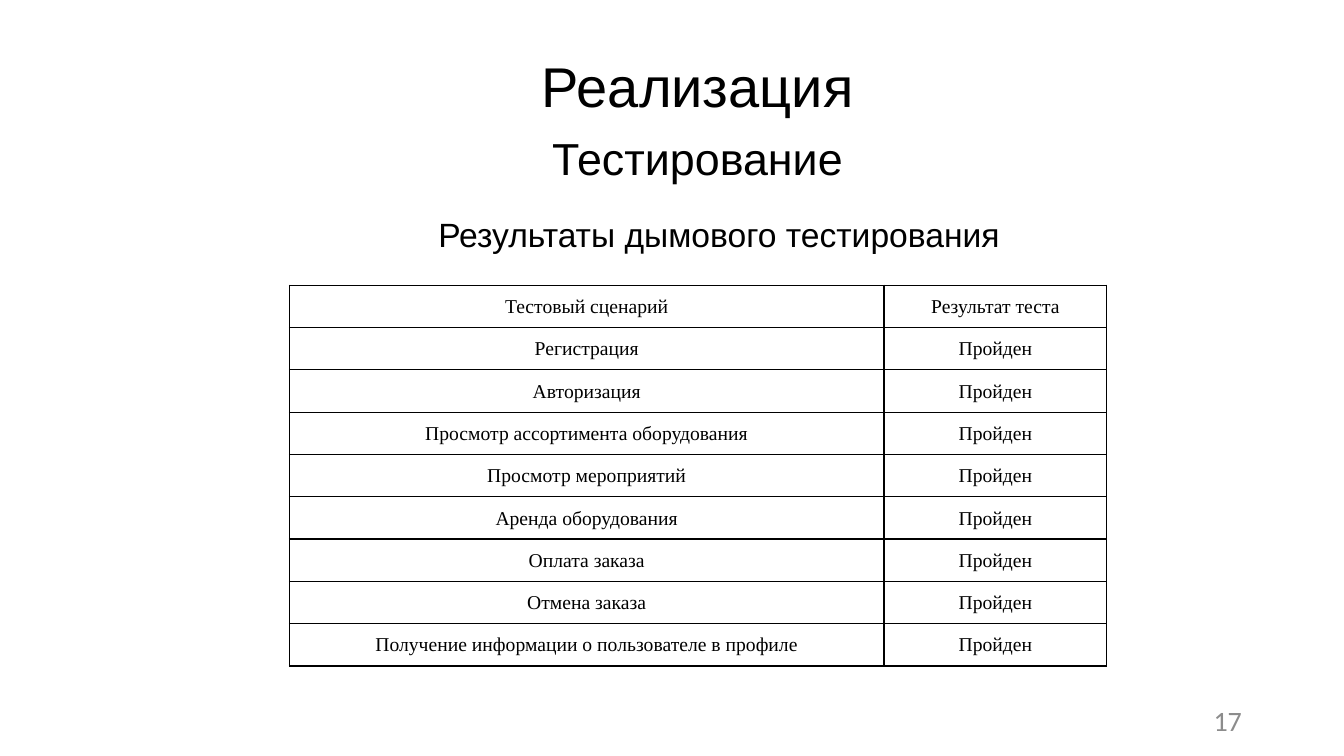
import dataclasses

import lxml.etree
import pptx
import pptx.dml.color
import pptx.enum.text
import pptx.oxml.ns
import pptx.presentation
import pptx.slide
import pptx.table
import pptx.text.text
import pptx.util

Align = pptx.enum.text.PP_ALIGN
Anchor = pptx.enum.text.MSO_ANCHOR


@dataclasses.dataclass(frozen=True)
class TextStyle:
    font: str
    size: int
    color: str
    align: Align
    spacing: float = 1.0
    before: int = 0


@dataclasses.dataclass(frozen=True)
class Theme:
    title: TextStyle = TextStyle("Arial", 40, "000000", Align.CENTER, 0.9)
    subtitle: TextStyle = TextStyle("Arial", 32, "000000", Align.CENTER, 0.9)
    caption: TextStyle = TextStyle("Arial", 24, "000000", Align.LEFT, 0.9, 10)
    cell: TextStyle = TextStyle("Times New Roman", 14, "000000", Align.CENTER, 1.5)
    number: TextStyle = TextStyle("Calibri", 20, "8C8C8C", Align.RIGHT)
    border: str = "000000"
    border_width: int = 1


@dataclasses.dataclass(frozen=True)
class Area:
    """Left, top, width and height in percent of the slide."""

    left: float
    top: float
    width: float
    height: float


@dataclasses.dataclass(frozen=True)
class Label:
    text: str
    area: Area
    style: TextStyle
    anchor: Anchor = Anchor.MIDDLE


THEME = Theme()
SLIDE_WIDTH = pptx.util.Inches(13.33)
SLIDE_HEIGHT = pptx.util.Inches(7.5)
CELL_INSET = pptx.util.Inches(0.07)

LABELS = (
    Label("Реализация", Area(8.78, 7.07, 86.25, 9.47), THEME.title),
    Label("Тестирование", Area(8.78, 16.53, 86.25, 9.47), THEME.subtitle),
    Label(
        "Результаты дымового тестирования",
        Area(31.87, 28.27, 45.67, 9.2),
        THEME.caption,
        Anchor.TOP,
    ),
    Label("17", Area(70.65, 92.67, 22.5, 5.33), THEME.number),
)

HEADER = ("Тестовый сценарий", "Результат теста")
PASSED = "Пройден"
SCENARIOS = (
    "Регистрация",
    "Авторизация",
    "Просмотр ассортимента оборудования",
    "Просмотр мероприятий",
    "Аренда оборудования",
    "Оплата заказа",
    "Отмена заказа",
    "Получение информации о пользователе в профиле",
)
RESULTS = (HEADER, *((scenario, PASSED) for scenario in SCENARIOS))
COLUMN_SHARES = (44.25, 16.57)
ROW_SHARE = 5.6
RESULTS_AREA = Area(21.53, 37.73, sum(COLUMN_SHARES), ROW_SHARE * len(RESULTS))


def across(percent: float) -> int:
    return round(SLIDE_WIDTH * percent / 100)


def down(percent: float) -> int:
    return round(SLIDE_HEIGHT * percent / 100)


def place(area: Area) -> tuple[int, int, int, int]:
    return across(area.left), down(area.top), across(area.width), down(area.height)


def write_text(frame: pptx.text.text.TextFrame, text: str, style: TextStyle) -> None:
    frame.text = text
    for para in frame.paragraphs:
        para.alignment = style.align
        para.line_spacing = style.spacing
        para.space_before = pptx.util.Pt(style.before)
        for span in para.runs:
            span.font.name = style.font
            span.font.size = pptx.util.Pt(style.size)
            span.font.color.rgb = pptx.dml.color.RGBColor.from_string(style.color)


def add_label(page: pptx.slide.Slide, label: Label) -> None:
    box = page.shapes.add_textbox(*place(label.area))
    frame = box.text_frame
    frame.word_wrap = True
    frame.vertical_anchor = label.anchor
    write_text(frame, label.text, label.style)


def add_borders(cell: pptx.table._Cell) -> None:
    properties = cell._tc.get_or_add_tcPr()
    qualified = pptx.oxml.ns.qn
    for position, side in enumerate(("a:lnL", "a:lnR", "a:lnT", "a:lnB")):
        line = lxml.etree.Element(qualified(side))
        line.set("w", str(pptx.util.Pt(THEME.border_width)))
        fill = lxml.etree.SubElement(line, qualified("a:solidFill"))
        color = lxml.etree.SubElement(fill, qualified("a:srgbClr"))
        color.set("val", THEME.border)
        properties.insert(position, line)


def add_results(page: pptx.slide.Slide) -> None:
    shape = page.shapes.add_table(
        len(RESULTS), len(HEADER), *place(RESULTS_AREA)
    )
    table = shape.table
    table.first_row = False
    table.horz_banding = False
    for column, share in zip(table.columns, COLUMN_SHARES):
        column.width = across(share)
    for row, texts in zip(table.rows, RESULTS):
        row.height = down(ROW_SHARE)
        for cell, text in zip(row.cells, texts):
            cell.margin_left = cell.margin_right = CELL_INSET
            cell.margin_top = cell.margin_bottom = 0
            cell.fill.background()
            write_text(cell.text_frame, text, THEME.cell)
            add_borders(cell)


def main() -> None:
    deck = pptx.Presentation()
    deck.slide_width = SLIDE_WIDTH
    deck.slide_height = SLIDE_HEIGHT
    page = deck.slides.add_slide(deck.slide_layouts[6])
    add_results(page)
    for label in LABELS:
        add_label(page, label)
    deck.save("out.pptx")


if __name__ == "__main__":
    main()
